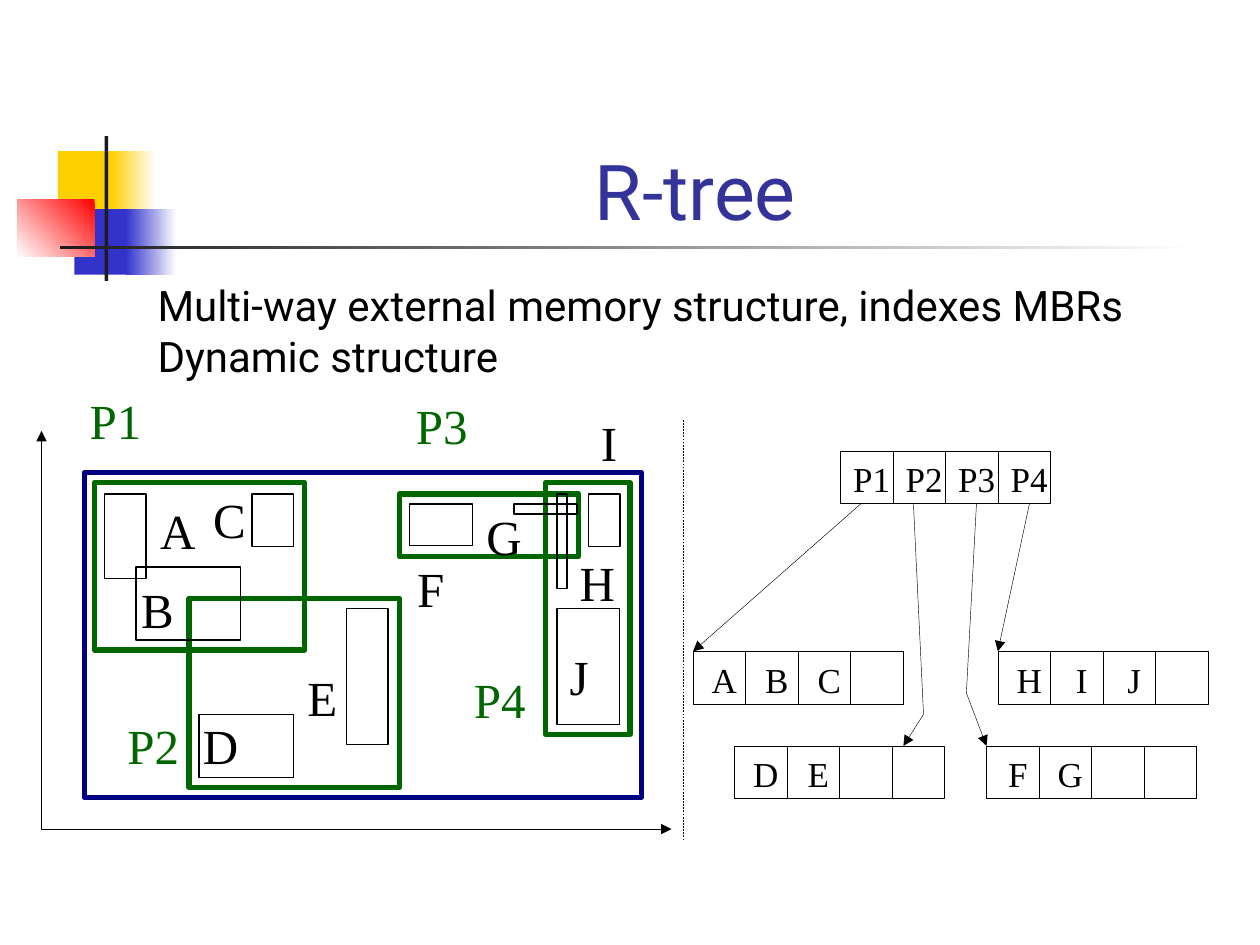
from lxml.etree import SubElement
from pptx import Presentation
from pptx.dml.color import RGBColor
from pptx.enum.dml import MSO_LINE
from pptx.enum.shapes import MSO_CONNECTOR, MSO_SHAPE
from pptx.enum.text import MSO_ANCHOR, MSO_AUTO_SIZE, PP_ALIGN
from pptx.oxml.ns import qn
from pptx.util import Inches, Pt

BLACK = RGBColor(0x00, 0x00, 0x00)
CHARCOAL = RGBColor(0x1C, 0x1C, 0x1C)
WHITE = RGBColor(0xFF, 0xFF, 0xFF)
YELLOW = RGBColor(0xFF, 0xCF, 0x01)
BLUE = RGBColor(0x33, 0x33, 0xCC)
RED = RGBColor(0xFF, 0x00, 0x00)
INDIGO = RGBColor(0x33, 0x33, 0x99)
GREEN = RGBColor(0x00, 0x66, 0x00)
NAVY = RGBColor(0x00, 0x00, 0x80)

SANS, SERIF = "Roboto", "Times New Roman"
LETTER_WIDTHS = {"A": 0.72, "B": 0.67, "C": 0.67, "D": 0.72, "E": 0.61, "F": 0.56,
                 "G": 0.72, "H": 0.72, "I": 0.33, "J": 0.39, "P": 0.56}
DIGIT_WIDTH = 0.5
CELL = 5 / 12
SLOTS = 4
LABEL_SHIFT = 0.04
HAIRLINE = 0.25

ORNAMENT = [
    ((0.46, 1.2, 0.48, 0.52), (YELLOW,), 0),
    ((0.88, 1.2, 0.36, 0.52), (WHITE, YELLOW), 180),
    ((0.59, 1.66, 0.46, 0.52), (BLUE,), 0),
    ((1, 1.66, 0.4, 0.52), (WHITE, BLUE), 180),
    ((0.14, 1.58, 0.61, 0.46), (RED, WHITE), 225),
    ((0.83, 1.08, 0.03, 1.15), (CHARCOAL,), 0),
    ((0.48, 1.95, 9, 0.03), (WHITE, CHARCOAL), 180),
]
NODE_REGIONS = [(0.75, 3.83, 1.67, 1.33), (4.33, 3.83, 0.67, 2),
                (1.5, 4.75, 1.67, 1.5), (3.17, 3.92, 1.42, 0.5)]
OBJECTS = [
    (0.83, 3.92, 0.33, 0.67), (2, 3.92, 0.33, 0.42), (1.08, 4.5, 0.83, 0.58),
    (1.58, 5.67, 0.75, 0.5), (2.75, 4.83, 0.33, 1.08), (3.25, 4, 0.5, 0.33),
    (4.42, 4.83, 0.5, 0.92), (4.67, 3.92, 0.25, 0.42), (4.08, 4, 0.5, 0.08),
    (4.42, 3.92, 0.08, 0.75),
]
ROOT_REGION = (0.67, 3.75, 4.42, 2.58)
OBJECT_LABELS = {
    "A": (1.17, 3.92), "B": (1.02, 4.55), "C": (1.59, 3.83), "D": (1.51, 5.63),
    "E": (2.34, 5.25), "F": (3.21, 4.38), "G": (3.76, 3.97), "H": (4.5, 4.33),
    "I": (4.67, 3.22), "J": (4.42, 5.08),
}
REGION_LABELS = {"P1": (0.61, 3.05), "P2": (0.91, 5.63), "P3": (3.2, 3.09), "P4": (3.66, 5.26)}
TREE_NODES = [
    (6.67, 3.58, ["P1", "P2", "P3", "P4"]),
    (7.83, 5.92, ["F", "G"]),
    (5.83, 5.92, ["D", "E"]),
    (7.92, 5.17, ["H", "I", "J"]),
    (5.5, 5.17, ["A", "B", "C"]),
]
AXES = [(0.33, 3.42), (0.33, 6.58), (5.33, 6.58)]
DIVIDER = [(5.42, 6.67), (5.42, 3.33)]
STRAIGHT_POINTERS = [[(6.83, 4), (5.5, 5.17)], [(8.17, 4), (7.92, 5.17)]]
BENT_POINTERS = [[(7.25, 4), (7.33, 5.67), (7.17, 5.92)],
                 [(7.75, 4), (7.67, 5.5), (7.83, 5.92)]]


def to_emu(lengths):
    return [Inches(length) for length in lengths]


def set_stroke(part, color, width):
    part.line.color.rgb = color
    part.line.width = Pt(width)


def add_arrowheads(part, *ends):
    outline = part.element.spPr.find(qn("a:ln"))
    for end in ends:
        SubElement(outline, qn(f"a:{end}"), type="triangle")


def add_ornament(shapes, bounds, colors, angle):
    block = shapes.add_shape(MSO_SHAPE.RECTANGLE, *to_emu(bounds))
    block.shadow.inherit = False
    block.line.fill.background()
    if len(colors) == 1:
        block.fill.solid()
        block.fill.fore_color.rgb = colors[0]
        return
    block.fill.gradient()
    block.fill.gradient_angle = angle
    for stop, position, color in zip(block.fill.gradient_stops, (0, 1), colors):
        stop.position = position
        stop.color.rgb = color


def add_frame(shapes, bounds, color, width):
    frame = shapes.add_shape(MSO_SHAPE.RECTANGLE, *to_emu(bounds))
    frame.shadow.inherit = False
    frame.fill.background()
    set_stroke(frame, color, width)


def add_polyline(shapes, points, *ends):
    start, *rest = [to_emu(point) for point in points]
    builder = shapes.build_freeform(*start)
    builder.add_line_segments(rest, close=False)
    polyline = builder.convert_to_shape()
    polyline.shadow.inherit = False
    polyline.fill.background()
    set_stroke(polyline, BLACK, HAIRLINE)
    add_arrowheads(polyline, *ends)


def add_straight_line(shapes, points, *ends, dash=None):
    start, end = points
    line = shapes.add_connector(MSO_CONNECTOR.STRAIGHT, *to_emu(start + end))
    set_stroke(line, BLACK, HAIRLINE)
    line.line.dash_style = dash
    add_arrowheads(line, *ends)
    SubElement(line.element.spPr, qn("a:effectLst"))


def format_runs(paragraph, font_name, size, color):
    for run in paragraph.runs:
        run.font.name = font_name
        run.font.size = Pt(size)
        run.font.color.rgb = color


def label_width(text, size):
    return 0.2 + sum(LETTER_WIDTHS.get(sign, DIGIT_WIDTH) for sign in text) * size / 72


def add_label(shapes, text, left, top, height, size, color):
    bounds = (left, top, label_width(text, size), height)
    label = shapes.add_textbox(*to_emu(bounds))
    frame = label.text_frame
    frame.text = text
    frame.word_wrap = False
    frame.auto_size = MSO_AUTO_SIZE.SHAPE_TO_FIT_TEXT
    frame.vertical_anchor = MSO_ANCHOR.MIDDLE
    frame.paragraphs[0].alignment = PP_ALIGN.CENTER
    format_runs(frame.paragraphs[0], SERIF, size, color)


def add_tree_node(shapes, left, top, entries):
    node = shapes.add_group_shape().shapes
    for slot in range(SLOTS):
        add_frame(node, (left + slot * CELL, top, CELL, CELL), BLACK, HAIRLINE)
    for slot, entry in enumerate(entries):
        center = left + (slot + 0.5) * CELL + LABEL_SHIFT
        add_label(node, entry, center - label_width(entry, 20) / 2, top, 0.44, 20, BLACK)


def fill_placeholder(placeholder, bounds, text, size, color, alignment, anchor):
    placeholder.left, placeholder.top, placeholder.width, placeholder.height = to_emu(bounds)
    frame = placeholder.text_frame
    frame.text = text
    frame.word_wrap = True
    frame.auto_size = MSO_AUTO_SIZE.NONE
    frame.vertical_anchor = anchor
    for paragraph in frame.paragraphs:
        properties = paragraph._p.get_or_add_pPr()
        properties.set("marL", "0")
        properties.set("indent", "0")
        SubElement(properties, qn("a:buNone"))
        paragraph.alignment = alignment
        paragraph.space_before = Pt(0)
        format_runs(paragraph, SANS, size, color)


def main():
    presentation = Presentation()
    presentation.slide_width, presentation.slide_height = Inches(10), Inches(7.5)
    slide = presentation.slides.add_slide(presentation.slide_layouts[1])
    shapes = slide.shapes

    fill_placeholder(shapes.title, (1.26, 0.67, 8.52, 1.25), "R-tree",
                     44, INDIGO, PP_ALIGN.CENTER, MSO_ANCHOR.BOTTOM)
    fill_placeholder(slide.placeholders[1], (1.15, 2.17, 8.39, 0.9),
                     "Multi-way external memory structure, indexes MBRs\nDynamic structure",
                     24, BLACK, PP_ALIGN.LEFT, MSO_ANCHOR.TOP)
    for bounds, colors, angle in ORNAMENT:
        add_ornament(shapes, bounds, colors, angle)

    for region in NODE_REGIONS:
        add_frame(shapes, region, GREEN, 3)
    for bounds in OBJECTS:
        add_frame(shapes, bounds, BLACK, 0.75)
    add_frame(shapes, ROOT_REGION, NAVY, 3)
    add_polyline(shapes, AXES, "headEnd", "tailEnd")
    for labels, color in ((OBJECT_LABELS, BLACK), (REGION_LABELS, GREEN)):
        for text, (left, top) in labels.items():
            add_label(shapes, text, left, top, 0.57, 28, color)

    for left, top, entries in TREE_NODES:
        add_tree_node(shapes, left, top, entries)
    add_straight_line(shapes, DIVIDER, dash=MSO_LINE.DASH)
    for points in STRAIGHT_POINTERS:
        add_straight_line(shapes, points, "tailEnd")
    for points in BENT_POINTERS:
        add_polyline(shapes, points, "tailEnd")

    presentation.save("out.pptx")


if __name__ == "__main__":
    main()
